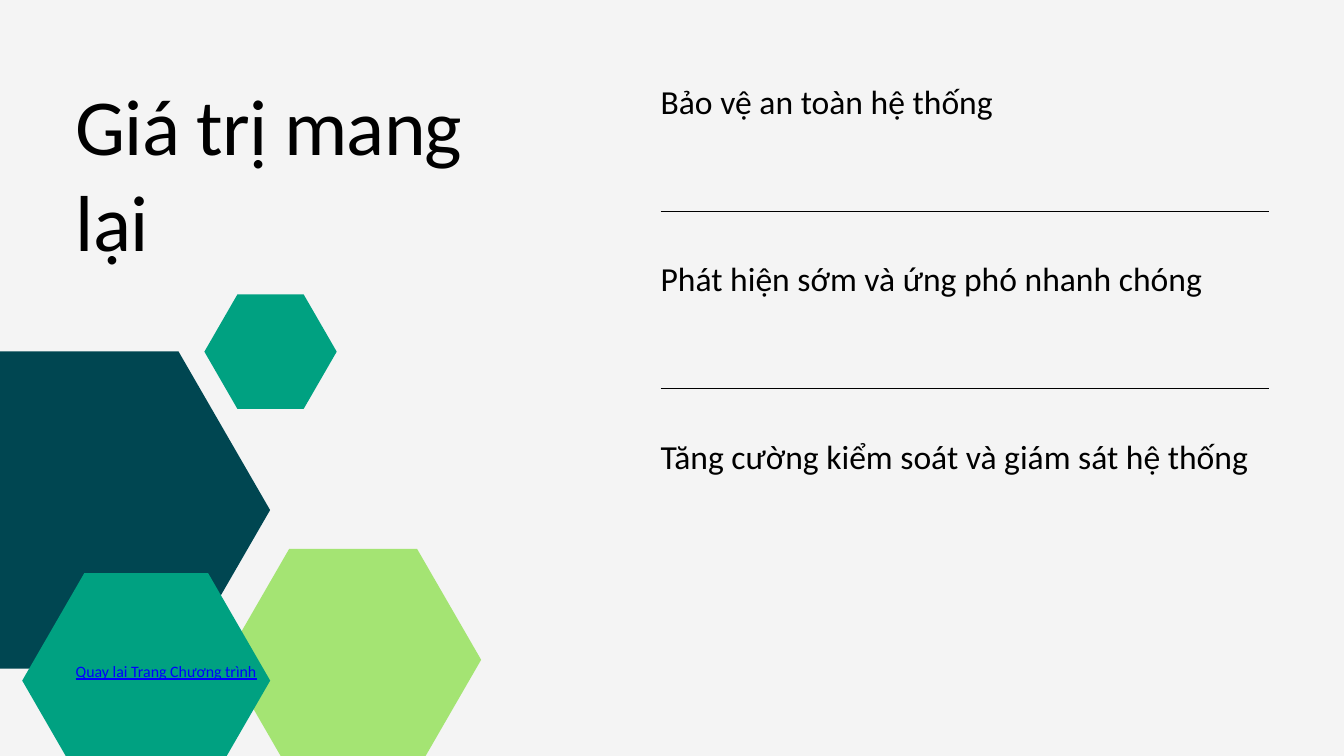
from lxml.etree import SubElement
from pptx import Presentation
from pptx.dml.color import RGBColor
from pptx.enum.shapes import MSO_CONNECTOR as Connector
from pptx.oxml.ns import qn
from pptx.util import Pt

FONT = "Calibri"
BLACK, BLUE, PALE = "000000", "0000FF", "F4F4F4"
NAVY, GREEN, LIME = "004651", "00A181", "A4E473"

HEXAGONS = [
    (-103, 376.6, 392.4, NAVY),
    (241.2, 588.2, 274.3, LIME),
    (219, 315.4, 141.8, GREEN),
    (23.8, 614.2, 265.7, GREEN),
]
BENEFITS = [
    ("Bảo vệ an toàn hệ thống", 42),
    ("Phát hiện sớm và ứng phó nhanh chóng", 85),
    ("Tăng cường kiểm soát và giám sát hệ thống", 85),
]


def paint(color_format, color):
    """Give a colour format a hex colour."""
    color_format.rgb = RGBColor.from_string(color)


def add_text(slide, box, text, size, leading, color=BLACK, underline=None, tracking=0):
    """Place one line of copy without insets in a box."""
    frame = slide.shapes.add_textbox(*map(Pt, box)).text_frame
    frame.word_wrap = True
    frame.margin_left = frame.margin_top = frame.margin_right = frame.margin_bottom = 0
    paragraph = frame.paragraphs[0]
    paragraph.line_spacing = Pt(leading)
    run = paragraph.add_run()
    run.text = text
    run.font.name, run.font.size, run.font.underline = FONT, Pt(size), underline
    paint(run.font.color, color)
    if tracking:
        run.font._element.set("spc", str(round(tracking * 100)))


def add_hexagon(slide, left, top, width, color):
    """Draw a regular hexagon with flat top and bottom edges."""
    height = width * 3 ** 0.5 / 2
    corners = [(0, 0.5), (0.25, 0), (0.75, 0), (1, 0.5), (0.75, 1), (0.25, 1)]
    points = [(Pt(left + x * width), Pt(top + y * height)) for x, y in corners]
    outline = slide.shapes.build_freeform(*points[0])
    outline.add_line_segments(points[1:], close=True)
    hexagon = outline.convert_to_shape()
    hexagon.shadow.inherit = False
    hexagon.fill.solid()
    paint(hexagon.fill.fore_color, color)
    hexagon.line.fill.background()


def add_divider(slide, left, top, width):
    """Draw a thin horizontal rule."""
    divider = slide.shapes.add_connector(
        Connector.STRAIGHT, Pt(left), Pt(top), Pt(left + width), Pt(top))
    divider.line.width = Pt(0.75)
    paint(divider.line.color, BLACK)
    SubElement(divider._element.spPr, qn("a:effectLst"))


def add_benefits(slide, left, top, width, pitch):
    """List the benefits at an equal pitch, with rules between them."""
    for index, (benefit, height) in enumerate(BENEFITS):
        row_top = top + index * pitch
        add_text(slide, (left, row_top, width, height), benefit, 36, 43.2)
        if index < len(BENEFITS) - 1:
            add_divider(slide, left, row_top + 139, width)


def main():
    """Build and save the slide."""
    deck = Presentation()
    deck.slide_width, deck.slide_height = Pt(1440), Pt(810)
    slide = deck.slides.add_slide(deck.slide_layouts[6])
    slide.background.fill.solid()
    paint(slide.background.fill.fore_color, PALE)
    add_text(slide, (81, 82, 434, 202), "Giá trị mang lại", 85, 102, tracking=-0.8)
    for hexagon in HEXAGONS:
        add_hexagon(slide, *hexagon)
    add_benefits(slide, 707.8, 87, 651.6, 189.8)
    add_text(slide, (81, 705.6, 412, 21.6), "Quay lại Trang Chương trình", 17, 23.8,
             BLUE, underline=True)
    deck.save("out.pptx")


if __name__ == "__main__":
    main()
